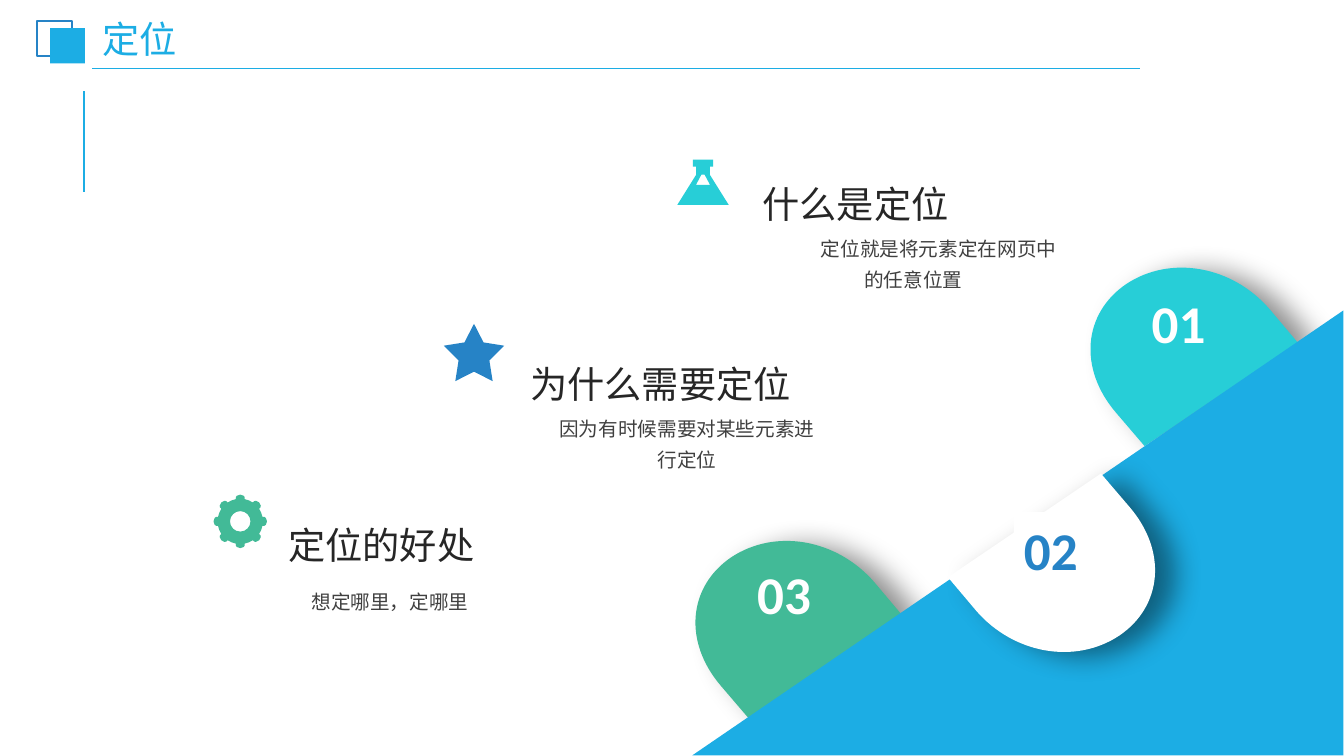
from math import atan, cos, hypot, pi, sin, tan

from lxml import etree
from pptx import Presentation
from pptx.dml.color import RGBColor
from pptx.enum.shapes import MSO_CONNECTOR, MSO_SHAPE
from pptx.enum.text import MSO_ANCHOR, MSO_AUTO_SIZE, PP_ALIGN
from pptx.oxml.ns import qn
from pptx.util import Pt

STRAIGHT = MSO_CONNECTOR.STRAIGHT
RECT, STAR = MSO_SHAPE.RECTANGLE, MSO_SHAPE.STAR_5_POINT
TOP, MIDDLE = MSO_ANCHOR.TOP, MSO_ANCHOR.MIDDLE
LEFT, CENTER, JUSTIFY = PP_ALIGN.LEFT, PP_ALIGN.CENTER, PP_ALIGN.JUSTIFY
FIT, NO_FIT = MSO_AUTO_SIZE.SHAPE_TO_FIT_TEXT, MSO_AUTO_SIZE.NONE

FONT = "Calibri"
SKY, BLUE, CYAN, GREEN, WHITE = "1CADE4", "2683C6", "27CED7", "42BA97", "FFFFFF"
DARK, GREY = "262626", "404040"


def rgb(value):
    return RGBColor.from_string(value)


def paint(sp, fill=None, line=None):
    sp.shadow.inherit = False
    if fill:
        sp.fill.solid()
        sp.fill.fore_color.rgb = rgb(fill)
    else:
        sp.fill.background()
    if line:
        sp.line.color.rgb = rgb(line)
        sp.line.width = Pt(1.5)
    else:
        sp.line.fill.background()


def add_line(s, x1, y1, x2, y2, width):
    c = s.shapes.add_connector(STRAIGHT, Pt(x1), Pt(y1), Pt(x2), Pt(y2))
    c.line.color.rgb = rgb(SKY)
    c.line.width = Pt(width)
    etree.SubElement(c._element.spPr, qn("a:effectLst"))


def add_outline(s, box, contours, fill):
    x, y, w, h = map(Pt, box)
    builder = s.shapes.build_freeform(x, y, scale=1.0)
    builder.add_line_segments([(x + w, y), (x + w, y + h), (x, y + h)])
    sp = builder.convert_to_shape()
    outline = sp._element.spPr.find(".//" + qn("a:path"))
    for step in list(outline):
        outline.remove(step)
    for contour in contours:
        for i, points in enumerate(contour):
            tag = "a:moveTo" if i == 0 else "a:lnTo"
            if len(points) == 6:
                tag = "a:cubicBezTo"
            step = etree.SubElement(outline, qn(tag))
            for px, py in zip(points[::2], points[1::2]):
                etree.SubElement(step, qn("a:pt"), x=str(Pt(px)), y=str(Pt(py)))
        etree.SubElement(outline, qn("a:close"))
    paint(sp, fill)
    return sp


def write(sp, text, size, color, align=LEFT, spacing=1.0, bold=False,
          inset=(7.2, 3.6), anchor=TOP, fit=FIT, indent=0):
    tf = sp.text_frame
    tf.word_wrap = True
    tf.auto_size = fit
    tf.vertical_anchor = anchor
    tf.margin_left = tf.margin_right = Pt(inset[0])
    tf.margin_top = tf.margin_bottom = Pt(inset[1])
    p = tf.paragraphs[0]
    p.alignment = align
    p.line_spacing = spacing
    if indent:
        p._p.get_or_add_pPr().set("indent", str(Pt(indent)))
    r = p.add_run()
    r.text = text
    r.font.name = FONT
    r.font.size = Pt(size)
    r.font.bold = bold
    r.font.color.rgb = rgb(color)


def header(s, x, y):
    add_line(s, x + 33.2, y + 121.8, x + 33.2, y + 49.8, 1.5)
    add_line(s, x + 39.4, y + 33.9, x + 787.7, y + 33.9, 1.25)
    emblem = s.shapes.add_group_shape()
    for dx, dy, fill, line in ((0, 0, None, BLUE), (9.2, 5, SKY, None)):
        sp = emblem.shapes.add_shape(RECT, Pt(x + dx), Pt(y + dy), Pt(24.8), Pt(25.2))
        paint(sp, fill, line)
    title = s.shapes.title
    title.left, title.top = Pt(x + 41.6), Pt(y + 1.4)
    title.width, title.height = Pt(283), Pt(26.6)
    write(title, "定位", 26.6, SKY, spacing=0.9, inset=(5, 2.9),
          anchor=MIDDLE, fit=NO_FIT)


def drop(s, x, y, fill, rotation):
    contour = [(0, 87.9), (23, 108.8),
               (53.5, 135.9, 98.1, 138, 126.7, 113.1),
               (154.6, 88.3, 153, 48.6, 121.7, 20.8),
               (98.5, 0)]
    sp = add_outline(s, (x, y, 155.5, 137.5), [contour], fill)
    sp.rotation = rotation
    effects = sp._element.spPr.find(qn("a:effectLst"))
    shadow = etree.SubElement(effects, qn("a:outerShdw"), blurRad=str(Pt(20)),
                              dist=str(Pt(15)), dir=str(12 * 60000),
                              algn="ctr", rotWithShape="0")
    color = etree.SubElement(shadow, qn("a:srgbClr"), val="000000")
    etree.SubElement(color, qn("a:alpha"), val="43000")


def number(s, x, y, text, color, fill=None):
    box = Pt(x), Pt(y), Pt(64), Pt(53.3)
    if fill:
        sp = s.shapes.add_shape(RECT, *box)
        paint(sp, fill)
    else:
        sp = s.shapes.add_textbox(*box)
    write(sp, text, 37.9, color, bold=True)


def slope(s, x, y, w, h):
    add_outline(s, (x, y, w, h), [[(0, h), (w, h), (w, 0)]], SKY)


def flask(s, x, y, w, h):
    mid = w / 2
    half = [(7.2, 0), (7.2, 5), (4.9, 5), (4.9, 10.8), (mid, h)]
    body = [(mid + dx, dy) for dx, dy in half]
    body += [(mid - dx, dy) for dx, dy in reversed(half)]
    window = [(mid + dx, dy)
              for dx, dy in ((-1.2, 10.8), (1.2, 10.8), (5, 18), (-5, 18))]
    add_outline(s, (x, y, w, h), [body, window], CYAN)


def star(s, x, y, w, h):
    sp = s.shapes.add_shape(STAR, Pt(x), Pt(y), Pt(w), Pt(h))
    sp.adjustments[0] = 0.255
    paint(sp, BLUE)


def gear(s, x, y, size):
    mid, body, hole = size / 2, 16.2, 7.3
    pitch, spread = pi / 4, 0.2

    def at(radius, angle):
        return mid + radius * cos(angle), mid + radius * sin(angle)

    def arc(radius, start, end):
        k = 4 / 3 * tan((end - start) / 4)
        reach = radius * hypot(1, k)
        return (at(reach, start + atan(k)) + at(reach, end - atan(k))
                + at(radius, end))

    rim = [at(body, -spread)]
    for i in range(8):
        a = i * pitch
        rim.append(at(20.6, a - spread) + at(20.6, a + spread) + at(body, a + spread))
        rim.append(arc(body, a + spread, a + pitch - spread))
    bore = [at(hole, 0)] + [arc(hole, i * pi / 2, (i + 1) * pi / 2) for i in range(4)]
    add_outline(s, (x, y, size, size), [rim, bore], GREEN)


def topic(s, heading, heading_box, body, body_box, indent=0):
    sp = s.shapes.add_textbox(*map(Pt, body_box))
    write(sp, body, 14, GREY, CENTER, 1.3, inset=(6.5, 3.2), indent=indent)
    sp = s.shapes.add_textbox(*map(Pt, heading_box))
    write(sp, heading, 26.6, DARK, JUSTIFY, 1.2)


def main():
    prs = Presentation()
    prs.slide_width, prs.slide_height = Pt(960), Pt(540)
    s = prs.slides.add_slide(prs.slide_layouts[5])
    header(s, 26.6, 15.1)
    drop(s, 769.5, 184.5, CYAN, 187.6)
    drop(s, 487.3, 379.7, GREEN, 187.6)
    slope(s, 494.6, 221.8, 464.9, 317.7)
    drop(s, 679, 334.9, WHITE, 7.6)
    flask(s, 483.8, 114, 36.8, 32.4)
    star(s, 317, 231.3, 43.2, 41)
    gear(s, 152.2, 353, 38.9)
    topic(s, "什么是定位", (537.5, 119.5, 237, 43),
          "定位就是将元素定在网页中的任意位置", (543.7, 161.3, 217.6, 49), 36)
    topic(s, "为什么需要定位", (371.5, 248.4, 245, 43),
          "因为有时候需要对某些元素进行定位", (391.7, 289.6, 198, 49))
    topic(s, "定位的好处", (198.7, 362.9, 255.6, 43),
          "想定哪里，定哪里", (173.1, 413.3, 211, 26.6))
    number(s, 815.6, 203.8, "01", WHITE)
    number(s, 724.3, 365.8, "02", BLUE, WHITE)
    number(s, 533.8, 397.2, "03", WHITE)
    prs.save("out.pptx")


if __name__ == "__main__":
    main()
